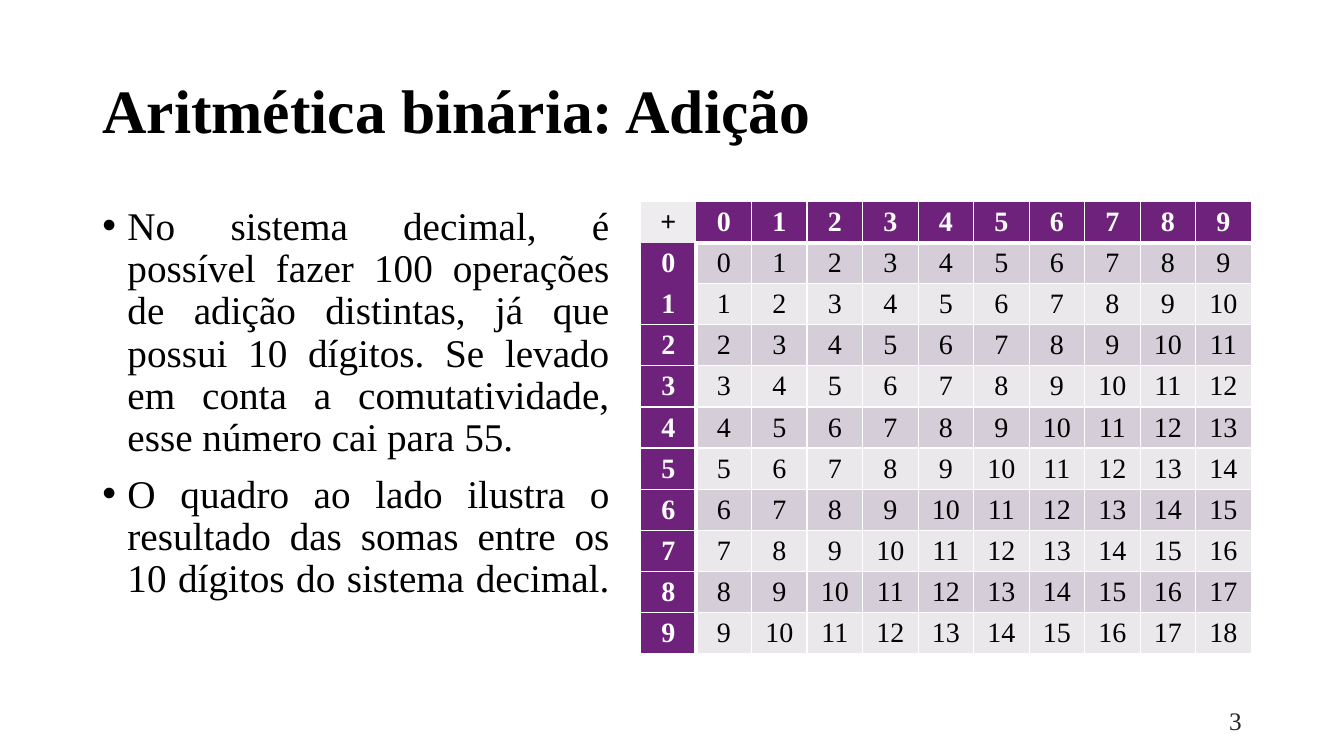
import lxml.etree
import pptx
import pptx.dml.color
import pptx.enum.text
import pptx.oxml.ns
import pptx.util

Pt = pptx.util.Pt
ALIGN = pptx.enum.text.PP_ALIGN
ANCHOR = pptx.enum.text.MSO_ANCHOR
qn = pptx.oxml.ns.qn

FONT = "Times New Roman"
COLORS = {
    "text": "000000",
    "number": "262626",
    "white": "FFFFFF",
    "header": "6F227C",
    "corner": "EFECF0",
    "odd": "D5CDD7",
    "even": "EBE8EC",
}
BULLETS = [
    "No sistema decimal, é possível fazer 100 operações de adição distintas, "
    "já que possui 10 dígitos. Se levado em conta a comutatividade, esse "
    "número cai para 55. ",
    "O quadro ao lado ilustra o resultado das somas entre os 10 dígitos do "
    "sistema decimal. ",
]
DIGITS = range(10)
COLUMN_WIDTH = 39.67
ROW_HEIGHT = 29.35


def rgb(name):
    return pptx.dml.color.RGBColor.from_string(COLORS[name])


def apply(target, values):
    for name, value in values.items():
        setattr(target, name, value)


def write(paragraph, text, size, color="text", bold=False, **layout):
    apply(paragraph, layout)
    run = paragraph.add_run()
    run.text = text
    apply(run.font, {"name": FONT, "size": Pt(size), "bold": bold})
    run.font.color.rgb = rgb(color)


def add_text_box(slide, left, top, width, height, anchor):
    shape = slide.shapes.add_textbox(Pt(left), Pt(top), Pt(width), Pt(height))
    apply(shape.text_frame, {"word_wrap": True, "vertical_anchor": anchor})
    return shape.text_frame


def set_bullet(paragraph, indent):
    properties = paragraph._p.get_or_add_pPr()
    properties.set("marL", str(Pt(indent)))
    properties.set("indent", str(-Pt(indent)))
    lxml.etree.SubElement(properties, qn("a:buFont"), typeface="Arial")
    lxml.etree.SubElement(properties, qn("a:buChar"), char="•")


def add_bullets(frame, texts):
    for index, text in enumerate(texts):
        paragraph = frame.paragraphs[0] if index == 0 else frame.add_paragraph()
        write(paragraph, text, 28, alignment=ALIGN.JUSTIFY,
              line_spacing=0.9, space_before=Pt(10))
        set_bullet(paragraph, 18)


def edge_above(row, column):
    """Width of the line over a cell; the top of the first column is open."""
    if column == 0 and row <= 2:
        return 0
    return 3 if row == 1 else 1


def edge_before(row, column):
    """Width of the line to the left of a cell."""
    if row == 0 and column <= 1:
        return 0
    return 3 if column == 1 else 1


def set_borders(cell, row, column):
    properties = cell._tc.get_or_add_tcPr()
    widths = {
        "a:lnL": edge_before(row, column),
        "a:lnR": edge_before(row, column + 1),
        "a:lnT": edge_above(row, column),
        "a:lnB": edge_above(row + 1, column),
    }
    for tag, width in widths.items():
        line = lxml.etree.SubElement(properties, qn(tag), w=str(Pt(width)))
        if width:
            fill = lxml.etree.SubElement(line, qn("a:solidFill"))
            lxml.etree.SubElement(fill, qn("a:srgbClr"), val=COLORS["white"])
        else:
            lxml.etree.SubElement(line, qn("a:noFill"))


def cell_style(row, column):
    """Fill, text colour and weight of a cell."""
    if row == 0 and column == 0:
        return "corner", "text", True
    if row == 0 or column == 0:
        return "header", "white", True
    return ("odd" if row % 2 else "even"), "text", False


def add_sum_table(slide, left, top):
    rows = [["+", *DIGITS]]
    rows += [[first, *(first + second for second in DIGITS)] for first in DIGITS]
    count = len(rows)
    table = slide.shapes.add_table(
        count, count, Pt(left), Pt(top),
        Pt(COLUMN_WIDTH * count), Pt(ROW_HEIGHT * count)).table
    for column in table.columns:
        column.width = Pt(COLUMN_WIDTH)
    for row in table.rows:
        row.height = Pt(ROW_HEIGHT)
    for row, values in enumerate(rows):
        for column, value in enumerate(values):
            cell = table.cell(row, column)
            fill, color, bold = cell_style(row, column)
            apply(cell, {"vertical_anchor": ANCHOR.MIDDLE,
                         "margin_top": Pt(2), "margin_bottom": Pt(2)})
            set_borders(cell, row, column)
            cell.fill.solid()
            cell.fill.fore_color.rgb = rgb(fill)
            write(cell.text_frame.paragraphs[0], str(value), 20, color, bold,
                  alignment=ALIGN.CENTER)


def main():
    presentation = pptx.Presentation()
    apply(presentation, {"slide_width": Pt(960), "slide_height": Pt(540)})
    slide = presentation.slides.add_slide(presentation.slide_layouts[6])

    # Title
    title = add_text_box(slide, 66, 28.75, 828, 104.4, ANCHOR.MIDDLE)
    write(title.paragraphs[0], "Aritmética binária: Adição", 44, bold=True,
          line_spacing=0.9)

    # Explanation
    body = add_text_box(slide, 66, 143.75, 376.5, 357, ANCHOR.TOP)
    add_bullets(body, BULLETS)

    # Addition table
    add_sum_table(slide, 457.5, 144)

    # Slide number
    number = add_text_box(slide, 678, 500.5, 216, 28.75, ANCHOR.MIDDLE)
    write(number.paragraphs[0], "3", 18, "number", alignment=ALIGN.RIGHT)

    presentation.save("out.pptx")


if __name__ == "__main__":
    main()
